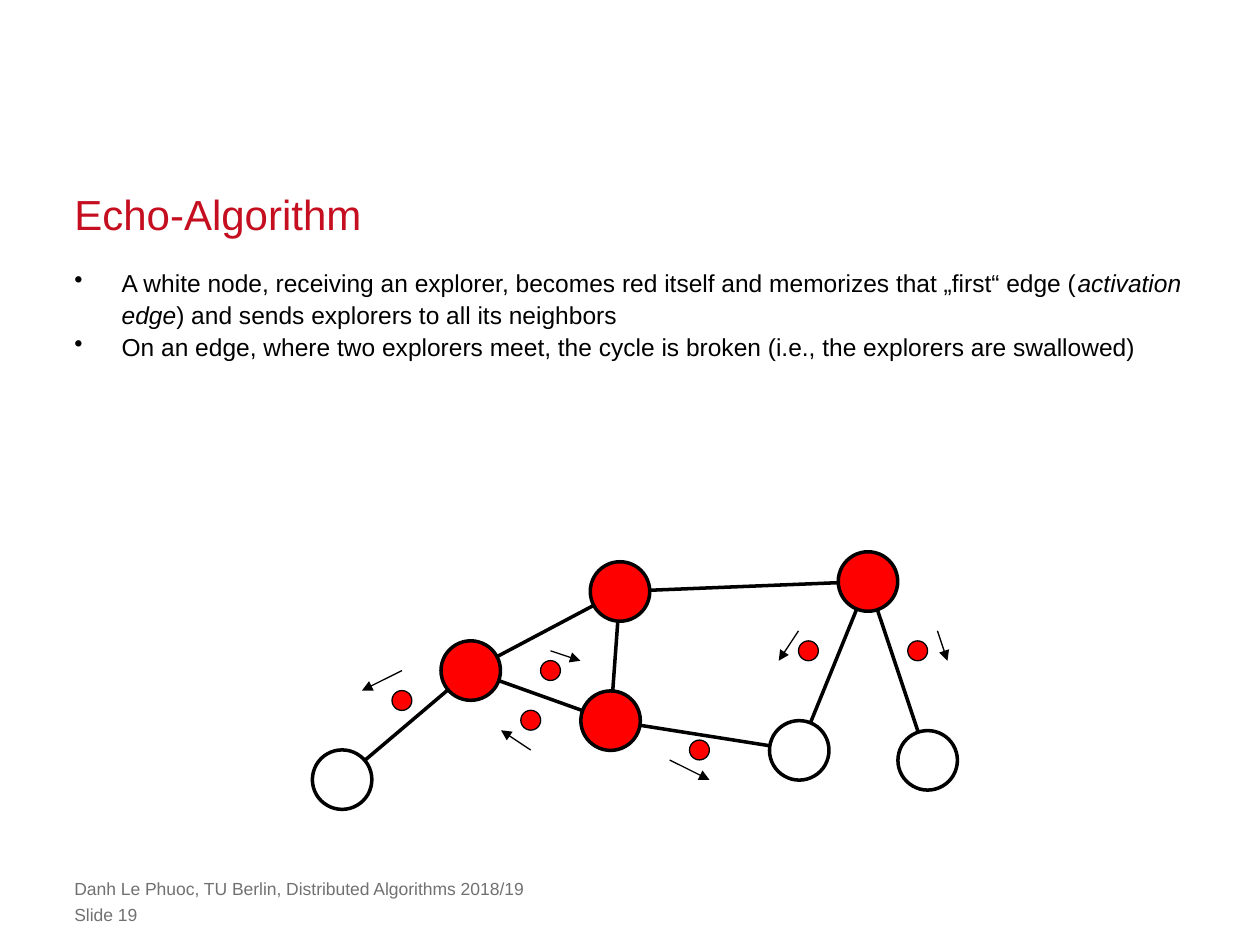
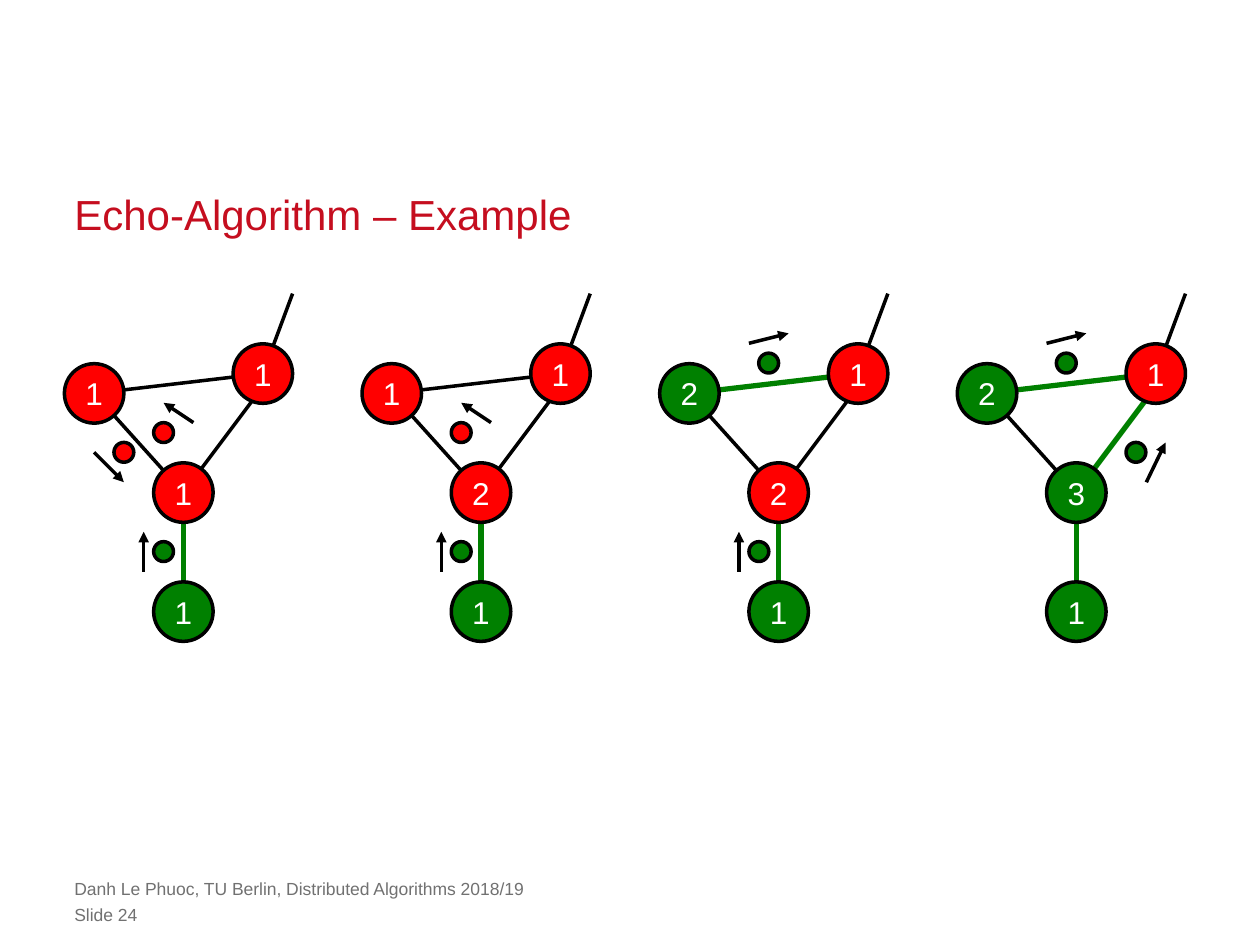
from dataclasses import dataclass

from lxml.etree import SubElement
from pptx import Presentation
from pptx.dml.color import RGBColor
from pptx.enum.shapes import MSO_CONNECTOR, MSO_SHAPE
from pptx.enum.text import MSO_ANCHOR, MSO_AUTO_SIZE, PP_ALIGN
from pptx.oxml.ns import qn
from pptx.util import Pt


@dataclass(frozen=True)
class Theme:
    font: str = "Arial"
    title: str = "C50E1F"
    ink: str = "000000"
    grey: str = "717171"
    white: str = "FFFFFF"
    red: str = "FF0000"
    green: str = "008000"
    title_size: int = 24
    body_size: int = 14
    foot_size: int = 10
    label_size: int = 18
    thin: float = 0.75
    line: float = 2
    thick: float = 3


T = Theme()
LEFT, WIDTH = 42.5, 635
NODE, TOKEN = 34, 11.34
FOOTER = "Danh Le Phuoc, TU Berlin, Distributed Algorithms 2018/19"

# Bullets are lists of (text, italic) runs.
BULLETS = [
    [("A white node, receiving an explorer, becomes red itself and memorizes that „first“ edge (", False),
     ("activation edge", True),
     (") and sends explorers to all its neighbors", False)],
    [("On an edge, where two explorers meet, the cycle is broken "
      "(i.e., the explorers are swallowed)", False)],
]

# Network: node centres, colours, edges.
NET = {
    "far": (195.5, 445.5, T.white), "left": (269, 383.2, T.red),
    "top": (354.3, 338, T.red), "mid": (348.9, 411.8, T.red),
    "right": (496, 332.3, T.red), "in": (456.7, 428.8, T.white),
    "out": (530.1, 434.5, T.white),
}
NET_EDGES = [("far", "left"), ("left", "top"), ("left", "mid"), ("top", "right"),
             ("top", "mid"), ("mid", "in"), ("in", "right"), ("right", "out")]

# Moving messages: token centre, arrow start, arrow end.
EXPLORERS = [
    ((229.7, 400.3), (229.7, 383.2), (206.9, 394.6)),
    ((303.3, 411.6), (303.3, 428.6), (286.3, 417.3)),
    ((314.6, 383.2), (314.6, 371.9), (331.6, 377.6)),
    ((399.7, 428.6), (382.7, 434.3), (405.4, 445.6)),
    ((462, 371.9), (456.3, 360.5), (445, 377.6)),
    ((524.4, 371.9), (535.7, 360.5), (541.4, 377.6)),
]

# Example: points of the first panel; each further panel is one pitch to the right.
PITCH = 170.08
SPOTS = {"left": (53.8, 224.8), "right": (150.2, 213.5), "mid": (104.8, 281.5),
         "low": (104.8, 349.5), "east": (155.8, 213.5), "exit": (167.2, 167.8)}
EDGES = [("right", "exit"), ("low", "mid"), ("left", "right"), ("mid", "east"), ("mid", "left")]
UP = ((93.5, 315.2), (82.1, 326.6), (82.1, 303.9))
DOWN = ((70.8, 258.5), (53.8, 258.5), (70.8, 275.5))
BACK = ((93.5, 247.2), (110.5, 241.5), (93.5, 230.2))
OVER = ((99.1, 207.5), (87.8, 196.2), (110.5, 190.5))
SIDE = ((138.9, 258.5), (144.8, 275.6), (155.8, 252.9))

# Panels: received counts, green nodes, green edges, red messages, green messages.
PANELS = [
    ({"left": 1, "right": 1, "mid": 1, "low": 1}, {"low"}, {("low", "mid")}, [DOWN, BACK], [UP]),
    ({"left": 1, "right": 1, "mid": 2, "low": 1}, {"low"}, {("low", "mid")}, [BACK], [UP]),
    ({"left": 2, "right": 1, "mid": 2, "low": 1}, {"low", "left"},
     {("low", "mid"), ("left", "right")}, [], [UP, OVER]),
    ({"left": 2, "right": 1, "mid": 3, "low": 1}, {"low", "left", "mid"},
     {("low", "mid"), ("left", "right"), ("mid", "east")}, [], [SIDE, OVER]),
]


def rgb(code):
    return RGBColor.from_string(code)


def style(para, size, color):
    para.font.name, para.font.size = T.font, Pt(size)
    para.font.color.rgb = rgb(color)


def clear(frame):
    """Remove the insets and let the text wrap at a fixed size."""
    frame.margin_left = frame.margin_right = frame.margin_top = frame.margin_bottom = 0
    frame.word_wrap, frame.auto_size = True, MSO_AUTO_SIZE.NONE


def add_text(slide, top, width, height):
    frame = slide.shapes.add_textbox(Pt(LEFT), Pt(top), Pt(width), Pt(height)).text_frame
    clear(frame)
    return frame


def new_slide(deck, title, number):
    slide = deck.slides.add_slide(deck.slide_layouts[5])
    head = slide.shapes.title
    head.left, head.top, head.width, head.height = Pt(LEFT), Pt(106.5), Pt(WIDTH), Pt(30.2)
    head.text_frame.text = title
    clear(head.text_frame)
    head.text_frame.vertical_anchor = MSO_ANCHOR.BOTTOM
    para = head.text_frame.paragraphs[0]
    para.alignment, para.line_spacing = PP_ALIGN.LEFT, Pt(30)
    style(para, T.title_size, T.title)
    for top, text in ((501.8, FOOTER), (516.4, f"Slide {number}")):
        frame = add_text(slide, top, 521.3, 12.2)
        frame.text = text
        style(frame.paragraphs[0], T.foot_size, T.grey)
    return slide


def add_bullets(slide):
    frame = add_text(slide, 151.2, WIDTH, 320.4)
    for i, runs in enumerate(BULLETS):
        para = frame.add_paragraph() if i else frame.paragraphs[0]
        para.line_spacing = 1.1
        style(para, T.body_size, T.ink)
        props = para._p.get_or_add_pPr()
        props.set("marL", str(Pt(27)))
        props.set("indent", str(-Pt(27)))
        mark = SubElement(props, qn("a:buChar"))
        mark.set("char", "•")
        # The bullet must precede the default run properties.
        props.insert(list(props).index(props.find(qn("a:defRPr"))), mark)
        for text, italic in runs:
            run = para.add_run()
            run.text = text
            run.font.italic = italic


def add_line(slide, start, end, color=T.ink, width=T.line, arrow=False):
    line = slide.shapes.add_connector(MSO_CONNECTOR.STRAIGHT, *map(Pt, (*start, *end)))
    line.line.color.rgb, line.line.width = rgb(color), Pt(width)
    if arrow:
        SubElement(line.line._get_or_add_ln(), qn("a:tailEnd")).set("type", "triangle")
    SubElement(line._element.spPr, qn("a:effectLst"))


def add_disc(slide, center, size, color, width=T.line, label=None):
    x, y = center
    disc = slide.shapes.add_shape(MSO_SHAPE.OVAL, Pt(x - size / 2), Pt(y - size / 2),
                                  Pt(size), Pt(size))
    disc.shadow.inherit = False
    disc.fill.solid()
    disc.fill.fore_color.rgb = rgb(color)
    disc.line.color.rgb, disc.line.width = rgb(T.ink), Pt(width)
    if label is not None:
        frame = disc.text_frame
        frame.text, frame.word_wrap = str(label), False
        frame.vertical_anchor = MSO_ANCHOR.MIDDLE
        frame.paragraphs[0].alignment = PP_ALIGN.CENTER
        style(frame.paragraphs[0], T.label_size, T.white)


def add_message(slide, points, color, width, shift=0):
    """Draw a token and the arrow that shows where it moves."""
    token, start, end = ((x + shift, y) for x, y in points)
    add_disc(slide, token, TOKEN, color, width)
    add_line(slide, start, end, width=width, arrow=True)


def add_net(slide):
    for a, b in NET_EDGES:
        add_line(slide, NET[a][:2], NET[b][:2])
    for x, y, color in NET.values():
        add_disc(slide, (x, y), NODE, color)
    for points in EXPLORERS:
        add_message(slide, points, T.red, T.thin)


def add_panel(slide, shift, counts, green, tree, reds, greens):
    spots = {name: (x + shift, y) for name, (x, y) in SPOTS.items()}
    for edge in EDGES:
        look = (T.green, T.thick) if edge in tree else (T.ink, T.line)
        add_line(slide, spots[edge[0]], spots[edge[1]], *look)
    for name, count in counts.items():
        color = T.green if name in green else T.red
        add_disc(slide, spots[name], NODE, color, label=count)
    for color, group in ((T.red, reds), (T.green, greens)):
        for points in group:
            add_message(slide, points, color, T.line, shift)


def main():
    deck = Presentation()
    deck.slide_width, deck.slide_height = Pt(720), Pt(540)
    rules = new_slide(deck, "Echo-Algorithm", 19)
    add_bullets(rules)
    add_net(rules)
    sample = new_slide(deck, "Echo-Algorithm – Example", 24)
    for i, panel in enumerate(PANELS):
        add_panel(sample, i * PITCH, *panel)
    deck.save("out.pptx")


if __name__ == "__main__":
    main()
